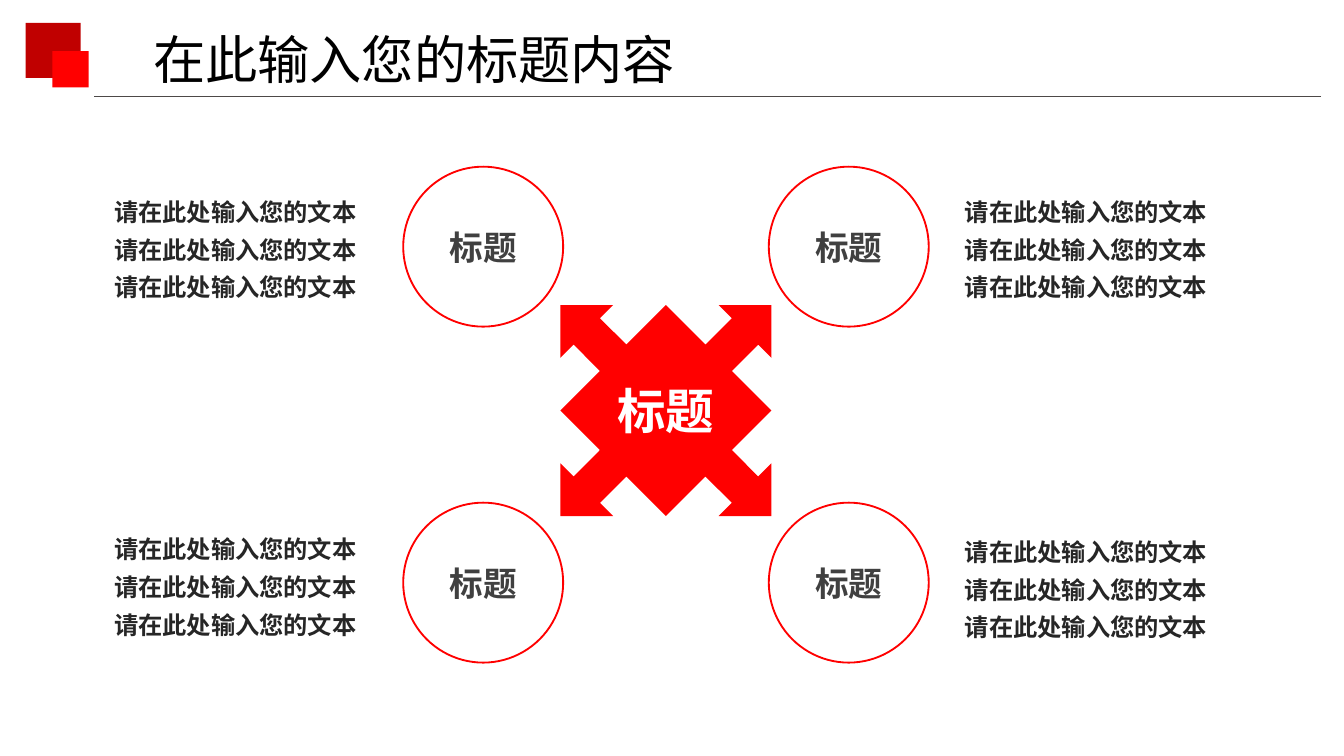
"""Build a slide with a four-way arrow hub, four circles and four text blocks."""
import pptx
import pptx.util
import pptx.dml.color
import pptx.enum.shapes
import pptx.enum.text
import pptx.oxml.ns
from lxml import etree

Inches, Pt = pptx.util.Inches, pptx.util.Pt
RGBColor = pptx.dml.color.RGBColor
SHAPE = pptx.enum.shapes.MSO_SHAPE
ALIGN = pptx.enum.text.PP_ALIGN
ANCHOR = pptx.enum.text.MSO_ANCHOR
GROW = pptx.enum.text.MSO_AUTO_SIZE.SHAPE_TO_FIT_TEXT

RED = RGBColor(0xFF, 0x00, 0x00)
DARK_RED = RGBColor(0xC0, 0x00, 0x00)
WHITE = RGBColor(0xFF, 0xFF, 0xFF)
BLACK = RGBColor(0x00, 0x00, 0x00)
RULE = RGBColor(0x4D, 0x49, 0x48)
LABEL = RGBColor(0x40, 0x40, 0x40)
BODY = RGBColor(0x26, 0x26, 0x26)
FONT = "Noto Sans CJK SC"

TITLE = "在此输入您的标题内容"
HUB = "标题"
LINES = ["请在此处输入您的文本"] * 3
CIRCLES = [("标题", 5.72, 1.24), ("标题", 3, 1.24),
           ("标题", 5.72, 3.74), ("标题", 3, 3.74)]
TEXTS = [(LINES, 7.07, 1.34), (LINES, 7.07, 3.87),
         (LINES, 0.74, 3.85), (LINES, 0.74, 1.34)]
SQUARES = [(0.19, 0.17, 0.41, DARK_RED), (0.39, 0.38, 0.27, RED)]
CIRCLE = 1.19
HUB_LEFT, HUB_TOP, HUB_SIDE = 4.17, 2.27, 1.57
HUB_GRID = 16
HUB_QUARTER = [(0, -8), (3, -5), (5, -7), (4, -8),
               (8, -8), (8, -4), (7, -5), (5, -3)]

TITLE_FONT = {"size": Pt(28), "bold": False}
LABEL_FONT = {"size": Pt(18), "bold": True}
HUB_FONT = {"size": Pt(26), "bold": True}
BODY_FONT = {"size": Pt(13), "bold": True}
LEFT = {"alignment": ALIGN.LEFT}
CENTRED = {"alignment": ALIGN.CENTER}
JUSTIFIED = {"alignment": ALIGN.JUSTIFY, "line_spacing": 1.3}
FIXED_FRAME = {"vertical_anchor": ANCHOR.MIDDLE, "word_wrap": True}
GROWING_FRAME = {"vertical_anchor": ANCHOR.TOP, "word_wrap": True, "auto_size": GROW}


def apply(target, values):
    for name, value in values.items():
        setattr(target, name, value)


def write(sp, lines, font, color, para, frame, inset=(0, 0)):
    tf = sp.text_frame
    apply(tf, frame)
    tf.margin_left = tf.margin_right = Inches(inset[0])
    tf.margin_top = tf.margin_bottom = Inches(inset[1])
    for i, line in enumerate(lines):
        p = tf.paragraphs[0] if i == 0 else tf.add_paragraph()
        apply(p, para)
        r = p.add_run()
        r.text = line
        apply(r.font, font)
        r.font.color.rgb = color
        r.font.name = FONT
        etree.SubElement(r.font._element, pptx.oxml.ns.qn("a:ea"), typeface=FONT)


def paint(sp, fill, line=None):
    sp.shadow.inherit = False
    sp.fill.solid()
    sp.fill.fore_color.rgb = fill
    if line is None:
        sp.line.fill.background()
    else:
        sp.line.color.rgb = line
        sp.line.width = Pt(1)


def add_header(s):
    for x, y, side, color in SQUARES:
        paint(s.shapes.add_shape(SHAPE.RECTANGLE, Inches(x), Inches(y),
                                 Inches(side), Inches(side)), color)
    rule = s.shapes.add_connector(pptx.enum.shapes.MSO_CONNECTOR.STRAIGHT,
                                  Inches(9.83), Inches(0.72), Inches(0.7), Inches(0.72))
    rule.line.color.rgb = RULE
    rule.line.width = Pt(0.75)
    etree.SubElement(rule._element.spPr, pptx.oxml.ns.qn("a:effectLst"))
    title = s.shapes.title
    apply(title, {"left": Inches(1.04), "top": Inches(0.15),
                  "width": Inches(4.24), "height": Inches(0.57)})
    write(title, [TITLE], TITLE_FONT, BLACK, LEFT, GROWING_FRAME, (0.1, 0.05))


def add_circle(s, label, x, y):
    circle = s.shapes.add_shape(SHAPE.OVAL, Inches(x), Inches(y),
                                Inches(CIRCLE), Inches(CIRCLE))
    paint(circle, WHITE, RED)
    write(circle, [label], LABEL_FONT, LABEL, CENTRED, FIXED_FRAME)


def add_hub(s):
    points, quarter = [], HUB_QUARTER
    for _ in range(4):
        points += quarter
        quarter = [(-y, x) for x, y in quarter]
    unit, half = HUB_SIDE / HUB_GRID, HUB_SIDE / 2
    outline = [(Inches(HUB_LEFT + half + x * unit), Inches(HUB_TOP + half + y * unit))
               for x, y in points]
    builder = s.shapes.build_freeform(*outline[0])
    builder.add_line_segments(outline[1:], close=True)
    hub = builder.convert_to_shape()
    paint(hub, RED)
    write(hub, [HUB], HUB_FONT, WHITE, CENTRED, FIXED_FRAME)


def add_text(s, lines, x, y):
    box = s.shapes.add_textbox(Inches(x), Inches(y), Inches(2.19), Inches(0.98))
    write(box, lines, BODY_FONT, BODY, JUSTIFIED, GROWING_FRAME, (0.11, 0.06))


def main():
    prs = pptx.Presentation()
    prs.slide_width = Inches(10)
    prs.slide_height = prs.slide_width * 9 // 16
    s = prs.slides.add_slide(prs.slide_layouts[5])
    add_header(s)
    for circle in CIRCLES:
        add_circle(s, *circle)
    add_hub(s)
    for text in TEXTS:
        add_text(s, *text)
    prs.save("out.pptx")


if __name__ == "__main__":
    main()
